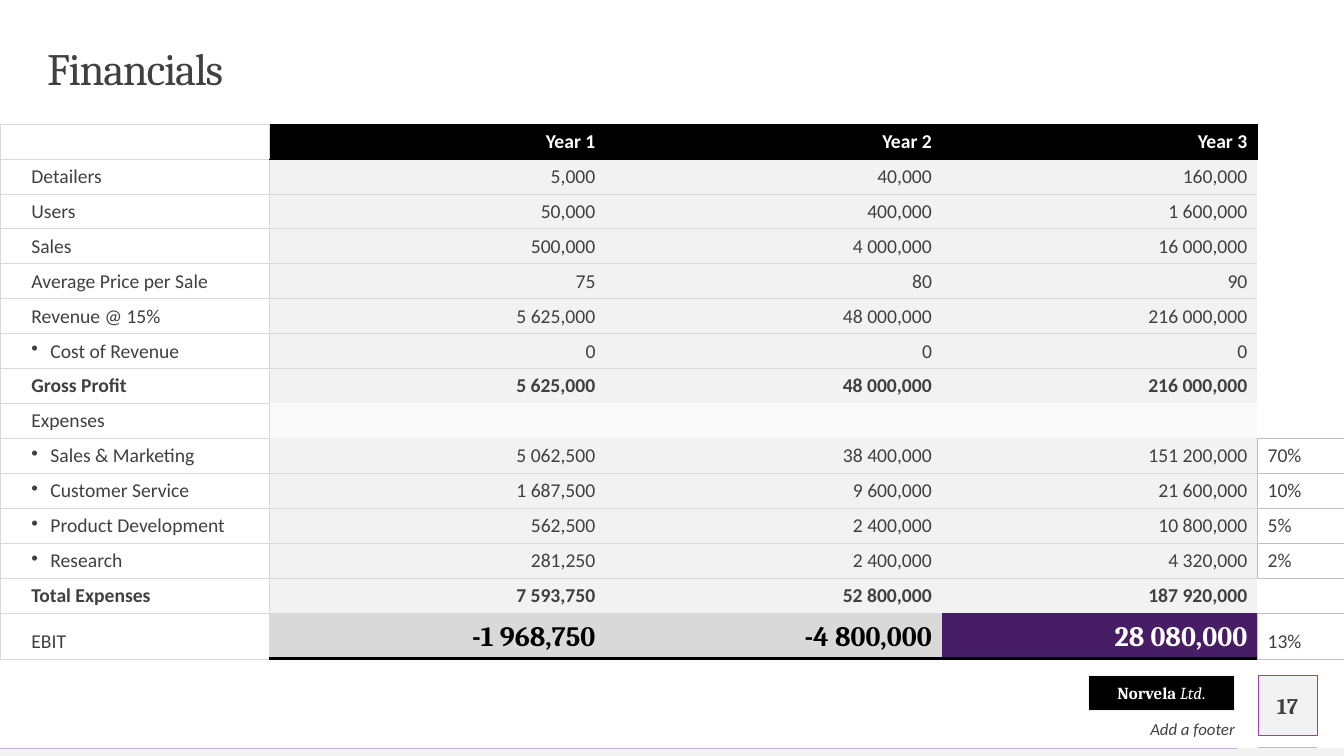
from pptx import Presentation
from pptx.dml.color import RGBColor
from pptx.enum.shapes import MSO_CONNECTOR, MSO_SHAPE
from pptx.enum.text import MSO_ANCHOR, PP_ALIGN
from pptx.oxml.ns import qn
from pptx.util import Cm, Pt
from lxml.etree import SubElement

DARK, PALE, GREY, MID = "404040", "F2F2F2", "D9D9D9", "BFBFBF"
BLACK, WHITE, VIOLET, LILAC = "000000", "FFFFFF", "471E66", "8E40C8"
LEFT, RIGHT, CENTER = PP_ALIGN.LEFT, PP_ALIGN.RIGHT, PP_ALIGN.CENTER


def paint(fill, color):
    fill.solid()
    fill.fore_color.rgb = RGBColor.from_string(color)


def write(frame, text, size=14, font="Calibri", color=DARK, bold=False,
          italic=False, align=LEFT, anchor=MSO_ANCHOR.TOP, inset=None):
    frame.vertical_anchor = anchor
    if inset is not None:
        frame.margin_left = frame.margin_right = inset
        frame.margin_top = frame.margin_bottom = inset
    para = frame.paragraphs[0]
    para.alignment = align
    run = para.add_run()
    run.text = text
    run.font.size, run.font.name = Pt(size), font
    run.font.bold, run.font.italic = bold, italic
    run.font.color.rgb = RGBColor.from_string(color)
    return run


deck = Presentation()
deck.slide_width, deck.slide_height = Cm(33.87), Cm(19.05)
slide = deck.slides.add_slide(deck.slide_layouts[6])
shapes = slide.shapes

boxes = []
for left, top, width, height, color, edge, weight in [
    (31.7, 17.02, 1.5, 1.5, PALE, LILAC, 0.25),
    (0, 18.85, 33.87, 0.2, PALE, None, 0),
    (0, 18.85, 31.19, 0.01, LILAC, None, 0),
    (27.43, 17.02, 3.68, 0.89, BLACK, PALE, 0.75),
]:
    box = shapes.add_shape(MSO_SHAPE.RECTANGLE, Cm(left), Cm(top), Cm(width), Cm(height))
    box.shadow.inherit = False
    paint(box.fill, color)
    if edge:
        paint(box.line.fill, edge)
        box.line.width = Pt(weight)
    else:
        box.line.fill.background()
    boxes.append(box)

rule = shapes.add_connector(MSO_CONNECTOR.STRAIGHT, Cm(31.7), Cm(18.82), Cm(33.2), Cm(18.82))
paint(rule.line.fill, MID)
rule.line.width = Pt(0.5)
SubElement(rule._element.spPr, qn("a:effectLst"))

badge = boxes[-1].text_frame
badge.word_wrap = False
for text, bold, italic in [("Norvela ", True, False), ("Ltd", False, True), (".", False, False)]:
    write(badge, text, size=12, font="Cambria", color=WHITE, bold=bold,
          italic=italic, align=CENTER, anchor=MSO_ANCHOR.MIDDLE)

for left, top, width, height, text, style in [
    (1.19, 1.19, 31.5, 1.19, "Financials", dict(size=32, font="Cambria")),
    (19.69, 18.03, 11.43, 0.58, "Add a footer",
     dict(size=12, italic=True, align=RIGHT, anchor=MSO_ANCHOR.BOTTOM)),
    (31.7, 17.27, 1.5, 1.02, "17",
     dict(size=16, font="Cambria", bold=True, align=CENTER, anchor=MSO_ANCHOR.MIDDLE)),
]:
    frame = shapes.add_textbox(Cm(left), Cm(top), Cm(width), Cm(height)).text_frame
    frame.word_wrap = True
    run = write(frame, text, inset=0, **style)
    if text == "Financials":
        frame.paragraphs[0].line_spacing = 0.9
        run._r.get_or_add_rPr().set("spc", "-100")

rows = [
    ("", "Year 1", "Year 2", "Year 3", ""),
    ("Detailers", "5,000", "40,000", "160,000", ""),
    ("Users", "50,000", "400,000", "1 600,000", ""),
    ("Sales", "500,000", "4 000,000", "16 000,000", ""),
    ("Average Price per Sale", "75", "80", "90", ""),
    ("Revenue @ 15%", "5 625,000", "48 000,000", "216 000,000", ""),
    ("Cost of Revenue", "0", "0", "0", ""),
    ("Gross Profit", "5 625,000", "48 000,000", "216 000,000", ""),
    ("Expenses", "", "", "", ""),
    ("Sales & Marketing", "5 062,500", "38 400,000", "151 200,000", "70%"),
    ("Customer Service", "1 687,500", "9 600,000", "21 600,000", "10%"),
    ("Product Development", "562,500", "2 400,000", "10 800,000", "5%"),
    ("Research", "281,250", "2 400,000", "4 320,000", "2%"),
    ("Total Expenses", "7 593,750", "52 800,000", "187 920,000", ""),
    ("EBIT", "-1 968,750", "-4 800,000", "28 080,000", "13%"),
]
HEAD, SPLIT, TOTAL, EBIT = 0, 8, 13, 14
BOLD, BULLET = (HEAD, 7, TOTAL), (6, 9, 10, 11, 12)

table = shapes.add_table(15, 5, 0, Cm(3.12), Cm(33.87), Cm(13.48)).table
table.first_row = table.horz_banding = False
for col, width in zip(table.columns, (6.78, 8.48, 8.48, 7.95, 2.18)):
    col.width = Cm(width)
for row in table.rows:
    row.height = Cm(0.88)
table.rows[EBIT].height = Cm(1.16)

for r, values in enumerate(rows):
    share = bool(values[4])
    for c, text in enumerate(values):
        cell = table.cell(r, c)
        figure = 1 <= c <= 3
        fill, edges = WHITE, {}
        if c == 0:
            edges = dict.fromkeys("LRTB", GREY)
        elif c == 4:
            if share:
                edges = dict.fromkeys("LRTB", MID)
            elif r == TOTAL:
                edges = {"T": MID, "B": MID}
            elif r == SPLIT:
                edges = {"B": MID}
            elif r == HEAD:
                edges = {"L": BLACK}
        elif r == HEAD:
            fill, edges = BLACK, dict.fromkeys("LRTB", BLACK)
        else:
            fill = PALE
            if r not in (SPLIT, SPLIT + 1, EBIT):
                edges["T"] = BLACK if r == 1 else GREY
            if r not in (SPLIT - 1, SPLIT, TOTAL):
                edges["B"] = BLACK if r == EBIT else GREY
            if c == 3 and share:
                edges["R"] = MID
            if r == EBIT:
                fill = VIOLET if c == 3 else GREY
        if c == 1:
            edges["L"] = GREY

        props = cell._tc.get_or_add_tcPr()
        for side in "LRTB":
            thick = r == EBIT and figure and side == "B"
            line = SubElement(props, qn(f"a:ln{side}"), w=str(Pt(2.25 if thick else 0.25)))
            if side in edges:
                solid = SubElement(line, qn("a:solidFill"))
                SubElement(solid, qn("a:srgbClr"), val=edges[side])
            else:
                SubElement(line, qn("a:noFill"))
        paint(cell.fill, fill)
        if r == SPLIT and figure:
            tint = props.find(qn("a:solidFill")).find(qn("a:srgbClr"))
            SubElement(tint, qn("a:alpha"), val="36000")

        cell.vertical_anchor = MSO_ANCHOR.BOTTOM
        para = cell.text_frame.paragraphs[0]
        if not text:
            SubElement(para._p, qn("a:endParaRPr"), sz="1400")
            continue
        big = r == EBIT and figure
        color = WHITE if fill in (BLACK, VIOLET) else BLACK if big else DARK
        write(cell.text_frame, text, size=20 if big else 14,
              font="Cambria" if big else "Calibri", color=color,
              bold=big or r in BOLD, align=RIGHT if figure else LEFT,
              anchor=MSO_ANCHOR.BOTTOM)
        if c == 0:
            cell.margin_left = Cm(0.79)
            if r in BULLET:
                dent = para._p.get_or_add_pPr()
                dent.set("marL", str(Cm(0.48)))
                dent.set("indent", str(-Cm(0.48)))
                SubElement(dent, qn("a:buChar"), char="•")

deck.save("out.pptx")
